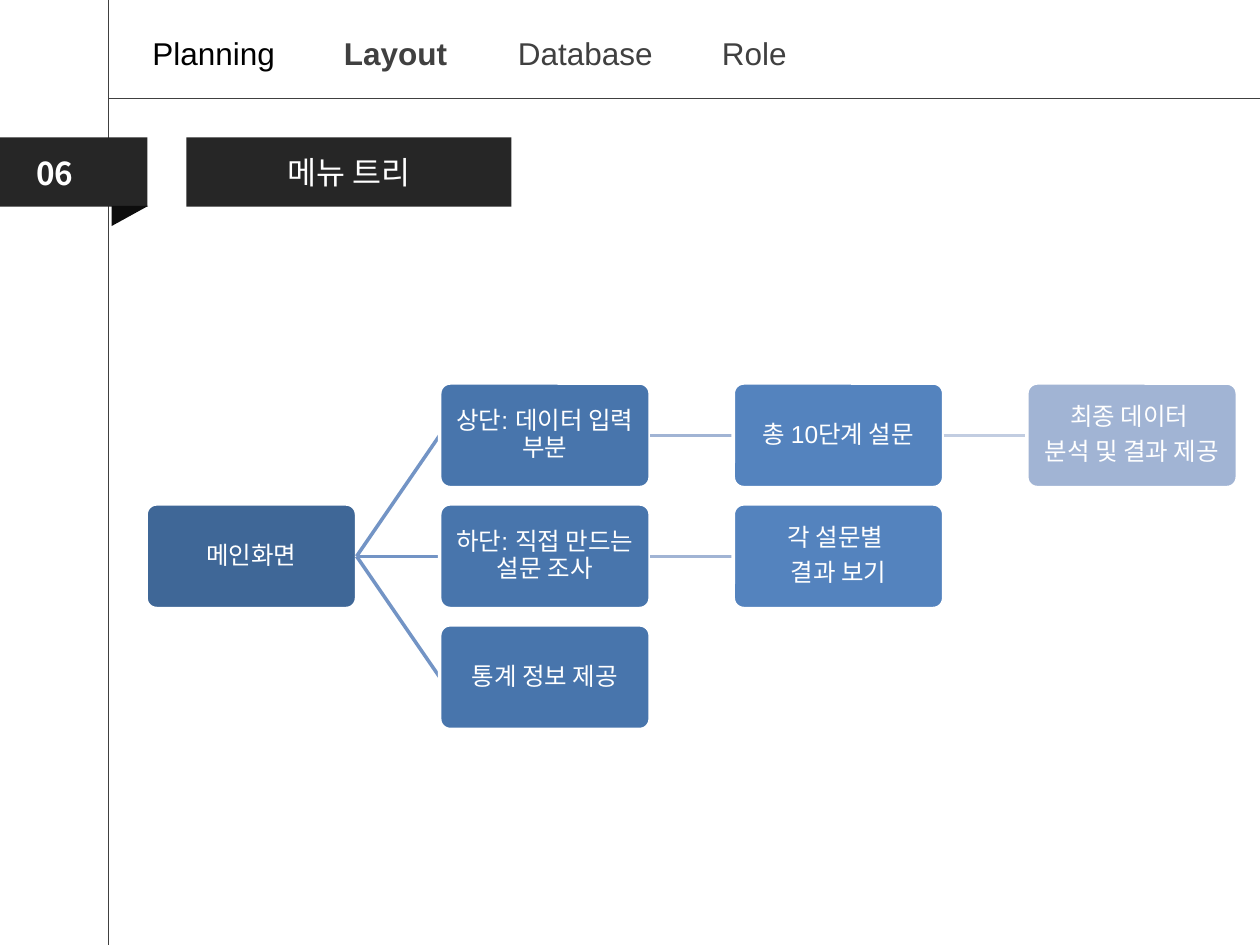
from dataclasses import dataclass
from typing import Optional

from lxml import etree
from pptx import Presentation
from pptx.dml.color import RGBColor
from pptx.enum.shapes import MSO_CONNECTOR, MSO_SHAPE
from pptx.enum.text import MSO_ANCHOR, PP_ALIGN
from pptx.oxml.ns import qn
from pptx.util import Inches, Pt

RECTANGLE = MSO_SHAPE.RECTANGLE
ROUNDED = MSO_SHAPE.ROUNDED_RECTANGLE
TRIANGLE = MSO_SHAPE.RIGHT_TRIANGLE
STRAIGHT = MSO_CONNECTOR.STRAIGHT
MIDDLE = MSO_ANCHOR.MIDDLE
LEFT, CENTER = PP_ALIGN.LEFT, PP_ALIGN.CENTER

BLACK = RGBColor(0x00, 0x00, 0x00)
WHITE = RGBColor(0xFF, 0xFF, 0xFF)
GRAY = RGBColor(0x40, 0x40, 0x40)
CHARCOAL = RGBColor(0x26, 0x26, 0x26)
FOLD = RGBColor(0x0D, 0x0D, 0x0D)
LEVEL_FILLS = (
    RGBColor(0x3F, 0x67, 0x97),
    RGBColor(0x48, 0x75, 0xAC),
    RGBColor(0x54, 0x83, 0xBE),
    RGBColor(0xA1, 0xB4, 0xD4),
)
LINK_COLORS = (
    RGBColor(0x73, 0x94, 0xC5),
    RGBColor(0xA1, 0xB4, 0xD4),
    RGBColor(0xC2, 0xCD, 0xE1),
)

LATIN_FONT = "Arial"
KOREAN_FONT = "Noto Sans CJK KR"
TREE_LEFT, TREE_TOP = 1.16, 3.04
LEVEL_STEP, ROW_STEP = 2.33, 0.96
NODE_WIDTH, NODE_HEIGHT = 1.67, 0.83
MENU_TABS = (1.52, 2.9, 4.52)


@dataclass(frozen=True)
class Node:
    level: int
    row: int
    lines: tuple[str, ...]
    parent_row: Optional[int] = None

    @property
    def left(self) -> float:
        return TREE_LEFT + self.level * LEVEL_STEP

    @property
    def top(self) -> float:
        return TREE_TOP + self.row * ROW_STEP


@dataclass(frozen=True)
class MenuItem:
    text: str
    color: RGBColor = GRAY
    bold: bool = False


NODES = (
    Node(0, 1, ("메인화면",)),
    Node(1, 0, ("상단: 데이터 입력 부분",), 1),
    Node(2, 0, ("총 10단계 설문",), 0),
    Node(3, 0, ("최종 데이터 ", "분석 및 결과 제공"), 0),
    Node(1, 1, ("하단: 직접 만드는 설문 조사",), 1),
    Node(2, 1, ("각 설문별 ", "결과 보기"), 1),
    Node(1, 2, ("통계 정보 제공",), 1),
)
MENU = (
    MenuItem("Planning", BLACK),
    MenuItem("Layout", bold=True),
    MenuItem("Database"),
    MenuItem("Role"),
)


def add_span(para, text: str, size: float, color: RGBColor, font: str, bold: bool = False) -> None:
    span = para.add_run()
    span.text = text
    span.font.size = Pt(size)
    span.font.bold = bold
    span.font.name = font
    span.font.color.rgb = color
    east_asian = etree.Element(qn("a:ea"), typeface=KOREAN_FONT)
    span.font._element.find(qn("a:latin")).addnext(east_asian)


def add_line(slide, start: tuple, end: tuple, color: RGBColor, width: float) -> None:
    line = slide.shapes.add_connector(STRAIGHT, *map(Inches, start + end))
    line.line.color.rgb = color
    line.line.width = Pt(width)
    etree.SubElement(line._element.spPr, qn("a:effectLst"))


def add_block(slide, kind, left: float, top: float, width: float, height: float, fill: RGBColor):
    block = slide.shapes.add_shape(kind, Inches(left), Inches(top), Inches(width), Inches(height))
    block.shadow.inherit = False
    block.fill.solid()
    block.fill.fore_color.rgb = fill
    block.line.fill.background()
    return block


def add_text_box(slide, left: float, top: float, width: float, height: float):
    box = slide.shapes.add_textbox(Inches(left), Inches(top), Inches(width), Inches(height))
    box.text_frame.word_wrap = True
    return box.text_frame


def add_menu(slide) -> None:
    frame = add_text_box(slide, 0.78, 0.22, 9.06, 0.4)
    frame.margin_left = Inches(0.43)
    para = frame.paragraphs[0]
    para.alignment = LEFT
    tabs = etree.SubElement(para._p.get_or_add_pPr(), qn("a:tabLst"))
    for position in MENU_TABS:
        etree.SubElement(tabs, qn("a:tab"), pos=str(Inches(position)), algn="l")
    for index, item in enumerate(MENU):
        text = f"\t{item.text}" if index else item.text
        add_span(para, text, 18, item.color, LATIN_FONT, item.bold)


def add_heading(slide) -> None:
    add_block(slide, RECTANGLE, 0, 1.09, 1.17, 0.55, CHARCOAL)
    fold = add_block(slide, TRIANGLE, 0.95, 1.57, 0.16, 0.29, FOLD)
    fold.rotation = 90
    number = add_text_box(slide, 0.19, 1.17, 0.67, 0.4)
    add_span(number.paragraphs[0], "06", 18, WHITE, KOREAN_FONT, True)
    title = add_block(slide, RECTANGLE, 1.48, 1.09, 2.58, 0.55, CHARCOAL).text_frame
    title.vertical_anchor = MIDDLE
    title.paragraphs[0].alignment = CENTER
    add_span(title.paragraphs[0], "메뉴 트리", 18, WHITE, KOREAN_FONT)


def add_link(slide, node: Node) -> None:
    parent = Node(node.level - 1, node.parent_row, ())
    start = (parent.left + NODE_WIDTH, parent.top + NODE_HEIGHT / 2)
    end = (node.left, node.top + NODE_HEIGHT / 2)
    add_line(slide, start, end, LINK_COLORS[parent.level], 2)


def add_node(slide, node: Node) -> None:
    fill = LEVEL_FILLS[node.level]
    box = add_block(slide, ROUNDED, node.left, node.top, NODE_WIDTH, NODE_HEIGHT, fill)
    box.adjustments[0] = 0.1
    box.line.color.rgb = WHITE
    box.line.width = Pt(2)
    frame = box.text_frame
    frame.word_wrap = True
    frame.vertical_anchor = MIDDLE
    frame.margin_left = frame.margin_right = Inches(0.01)
    frame.margin_top = frame.margin_bottom = Inches(0.01)
    for index, text in enumerate(node.lines):
        para = frame.add_paragraph() if index else frame.paragraphs[0]
        para.alignment = CENTER
        para.line_spacing = 0.9
        para.space_after = Pt(4.9)
        add_span(para, text, 14, WHITE, LATIN_FONT)


def main() -> None:
    deck = Presentation()
    deck.slide_width, deck.slide_height = Inches(10), Inches(7.5)
    page = deck.slides.add_slide(deck.slide_layouts[6])
    add_line(page, (0.86, 0), (0.86, 7.5), GRAY, 0.5)
    add_line(page, (0.86, 0.78), (10.08, 0.78), GRAY, 0.5)
    add_heading(page)
    add_menu(page)
    for node in NODES:
        if node.parent_row is not None:
            add_link(page, node)
        add_node(page, node)
    deck.save("out.pptx")


if __name__ == "__main__":
    main()
